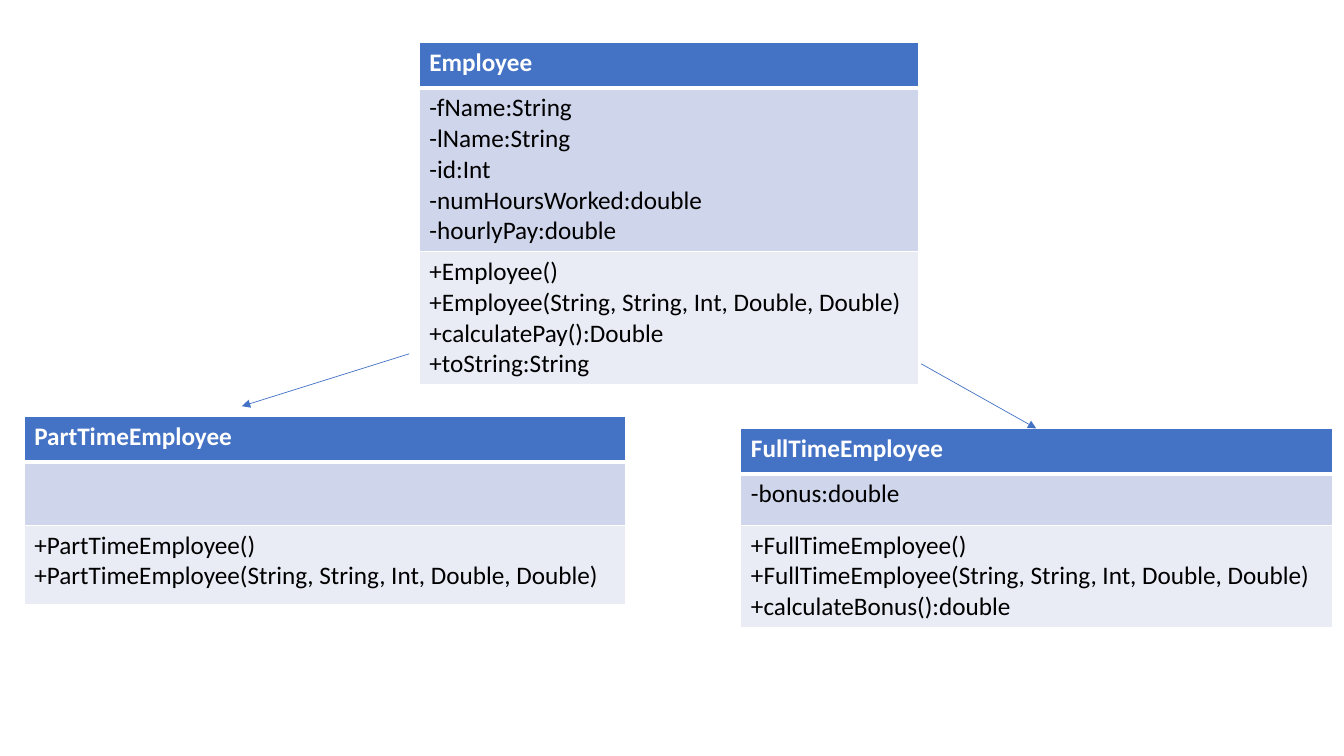
import lxml.etree
import pptx
import pptx.dml.color
import pptx.enum.shapes
import pptx.oxml.ns
import pptx.util

COLORS = {"header": "4472C4", "fields": "CFD5EA", "methods": "E9EBF5",
          "light": "FFFFFF", "dark": "000000"}
ARGUMENTS = "(String, String, Int, Double, Double)"
qn = pptx.oxml.ns.qn


class ClassDiagram:
    """Draws class tables and arrows on a grid of tenths of an inch."""

    font = "Calibri"
    text_size = 18
    cell = pptx.util.Inches(0.1)

    def __init__(self, columns, rows):
        self.deck = pptx.Presentation()
        self.deck.slide_width = self.grid(columns)
        self.deck.slide_height = self.grid(rows)
        self.slide = self.deck.slides.add_slide(self.deck.slide_layouts[6])

    def grid(self, count):
        return round(count * self.cell)

    def color(self, key):
        return pptx.dml.color.RGBColor.from_string(COLORS[key])

    def borders(self, box, bottom):
        properties = box._tc.get_or_add_tcPr()
        widths = {"lnL": 1, "lnR": 1, "lnT": 1, "lnB": bottom}
        for place, (side, width) in enumerate(widths.items()):
            edge = lxml.etree.Element(qn("a:" + side), w=str(pptx.util.Pt(width)))
            paint = lxml.etree.SubElement(edge, qn("a:solidFill"))
            lxml.etree.SubElement(paint, qn("a:srgbClr"), val=COLORS["light"])
            properties.insert(place, edge)

    def cell_text(self, box, lines, is_title):
        frame = box.text_frame
        for number, line in enumerate(lines):
            paragraph = frame.add_paragraph() if number else frame.paragraphs[0]
            run = paragraph.add_run()
            run.text = line
            run.font.name = self.font
            run.font.size = pptx.util.Pt(self.text_size)
            run.font.bold = is_title
            run.font.color.rgb = self.color("light" if is_title else "dark")

    def class_table(self, left, top, width, heights, name, fields, methods):
        area = map(self.grid, (left, top, width, sum(heights)))
        table = self.slide.shapes.add_table(3, 1, *area).table
        sections = {"header": [name], "fields": fields, "methods": methods}
        for row, (section, lines) in enumerate(sections.items()):
            table.rows[row].height = self.grid(heights[row])
            box = table.cell(row, 0)
            box.fill.solid()
            box.fill.fore_color.rgb = self.color(section)
            self.borders(box, bottom=3 if section == "header" else 1)
            self.cell_text(box, lines, section == "header")

    def arrow(self, *ends):
        link = self.slide.shapes.add_connector(
            pptx.enum.shapes.MSO_CONNECTOR.STRAIGHT, *map(self.grid, ends))
        link.line.color.rgb = self.color("header")
        link.line.width = pptx.util.Pt(0.5)
        outline = link._element.spPr.find(qn("a:ln"))
        lxml.etree.SubElement(outline, qn("a:tailEnd"), type="triangle")
        lxml.etree.SubElement(link._element.spPr, qn("a:effectLst"))


def main():
    diagram = ClassDiagram(133.33, 75)
    diagram.class_table(
        41.6, 4.2, 49.5, (4.5, 12, 7.9), "Employee",
        ["-fName:String", "-lName:String", "-id:Int",
         "-numHoursWorked:double", "-hourlyPay:double"],
        ["+Employee()", "+Employee" + ARGUMENTS,
         "+calculatePay():Double", "+toString:String"])
    diagram.class_table(
        2.4, 41.3, 59.7, (4.5, 6.3, 7.9), "PartTimeEmployee", [],
        ["+PartTimeEmployee()", "+PartTimeEmployee" + ARGUMENTS])
    diagram.class_table(
        73.5, 42.5, 58.7, (4.5, 5.1, 7.9), "FullTimeEmployee", ["-bonus:double"],
        ["+FullTimeEmployee()", "+FullTimeEmployee" + ARGUMENTS,
         "+calculateBonus():double"])
    diagram.arrow(40.6, 35.1, 24, 40.3)
    diagram.arrow(91.4, 36.1, 102.8, 42.5)
    diagram.deck.save("out.pptx")


if __name__ == "__main__":
    main()
